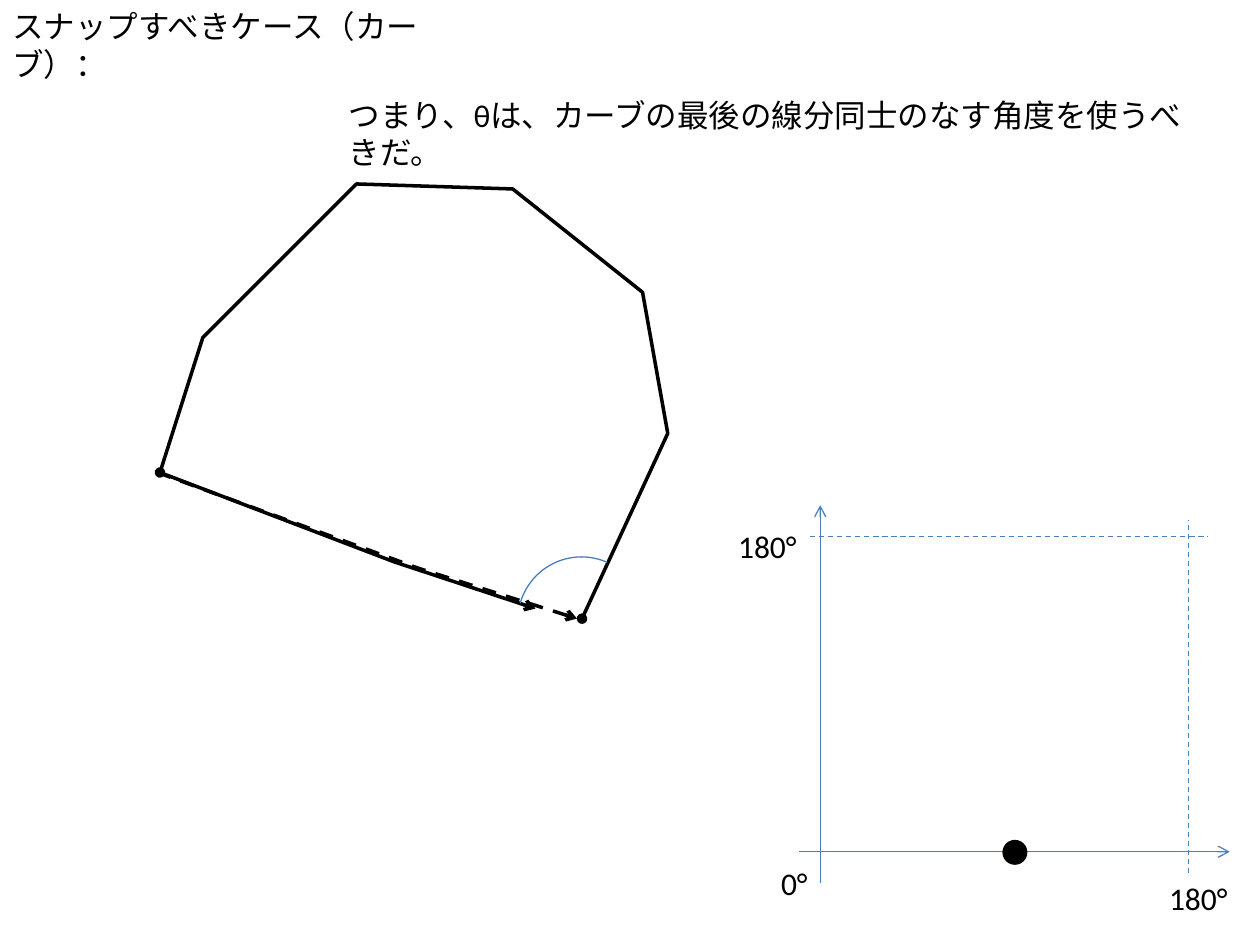
from dataclasses import dataclass

from lxml.etree import SubElement
from pptx import Presentation
from pptx.dml.color import RGBColor
from pptx.enum.dml import MSO_LINE
from pptx.enum.shapes import MSO_CONNECTOR, MSO_SHAPE
from pptx.enum.text import MSO_AUTO_SIZE
from pptx.oxml.ns import qn
from pptx.util import Inches, Pt


@dataclass(frozen=True)
class Theme:
    ink: RGBColor = RGBColor(0x00, 0x00, 0x00)
    guide: RGBColor = RGBColor(0x4B, 0x7E, 0xBC)
    font: str = "Calibri"
    text_size: Pt = Pt(18)
    curve_width: Pt = Pt(2)
    guide_width: Pt = Pt(0.75)


THEME = Theme()


def style_line(line, color, width, dashed=False, head=None, tail=None):
    line.color.rgb = color
    line.width = width
    if dashed:
        line.dash_style = MSO_LINE.DASH
    ends = line.fill._xPr
    for tag, kind in (("a:headEnd", head), ("a:tailEnd", tail)):
        if kind:
            SubElement(ends, qn(tag), type=kind)


def add_label(shapes, text, left, top, width):
    label = shapes.add_textbox(Inches(left), Inches(top), Inches(width), Inches(0.4))
    frame = label.text_frame
    frame.word_wrap = True
    frame.auto_size = MSO_AUTO_SIZE.SHAPE_TO_FIT_TEXT
    run = frame.paragraphs[0].add_run()
    run.text = text
    run.font.name = THEME.font
    run.font.size = THEME.text_size
    run.font.color.rgb = THEME.ink


def add_curve(shapes, points, **line_options):
    start, *rest = [(Inches(x), Inches(y)) for x, y in points]
    builder = shapes.build_freeform(*start)
    builder.add_line_segments(rest, close=False)
    curve = builder.convert_to_shape()
    curve.shadow.inherit = False
    curve.fill.background()
    style_line(curve.line, THEME.ink, THEME.curve_width, **line_options)


def add_guide(shapes, start, end, **line_options):
    ends = [Inches(value) for value in (*start, *end)]
    guide = shapes.add_connector(MSO_CONNECTOR.STRAIGHT, *ends)
    style_line(guide.line, THEME.guide, THEME.guide_width, **line_options)
    SubElement(guide._element.spPr, qn("a:effectLst"))


def add_angle_arc(shapes, left, top, size, start_degrees, end_degrees):
    arc = shapes.add_shape(
        MSO_SHAPE.ARC, Inches(left), Inches(top), Inches(size), Inches(size)
    )
    for index, degrees in enumerate((start_degrees, end_degrees)):
        arc.adjustments[index] = degrees * 0.6
    arc.shadow.inherit = False
    arc.fill.background()
    style_line(arc.line, THEME.guide, THEME.guide_width)


def add_dot(shapes, left, top, size):
    dot = shapes.add_shape(
        MSO_SHAPE.OVAL, Inches(left), Inches(top), Inches(size), Inches(size)
    )
    dot.shadow.inherit = False
    dot.fill.solid()
    dot.fill.fore_color.rgb = THEME.ink
    style_line(dot.line, THEME.ink, THEME.curve_width)


def add_angle_plot(shapes):
    plot = shapes.add_group_shape().shapes
    add_guide(plot, (6.34, 6.76), (9.76, 6.76), tail="arrow")
    add_guide(plot, (6.51, 7.01), (6.51, 4.01), tail="arrow")
    add_guide(plot, (6.43, 4.26), (9.59, 4.26), dashed=True)
    add_guide(plot, (9.43, 6.93), (9.43, 4.13), dashed=True)
    add_label(plot, "180°", 9.18, 6.93, 0.84)
    add_label(plot, "180°", 5.76, 4.13, 0.84)
    add_label(plot, "0°", 6.1, 6.81, 0.58)


def main():
    presentation = Presentation()
    presentation.slide_width = Inches(10)
    presentation.slide_height = Inches(7.5)
    shapes = presentation.slides.add_slide(presentation.slide_layouts[6]).shapes

    add_label(shapes, "スナップすべきケース（カーブ）：", 0, 0.01, 3.54)
    drawn_curve = [(1.27, 3.75), (1.61, 2.68), (2.83, 1.46), (4.07, 1.5),
                   (5.1, 2.32), (5.3, 3.44), (4.62, 4.91)]
    add_curve(shapes, drawn_curve, head="oval", tail="oval")
    snapped_curve = [(1.25, 3.75), (3.32, 4.51), (4.58, 4.91)]
    add_curve(shapes, snapped_curve, dashed=True, tail="arrow")
    free_curve = [(1.27, 3.75), (3.13, 4.46), (4.25, 4.83)]
    add_curve(shapes, free_curve, tail="arrow")
    add_angle_arc(shapes, 4.11, 4.42, 1.01, 195.79, 293.98)
    add_angle_plot(shapes)
    add_dot(shapes, 7.97, 6.68, 0.17)
    add_label(
        shapes,
        "つまり、θは、カーブの最後の線分同士のなす角度を使うべきだ。",
        2.67, 0.71, 7.01,
    )
    presentation.save("out.pptx")


if __name__ == "__main__":
    main()
